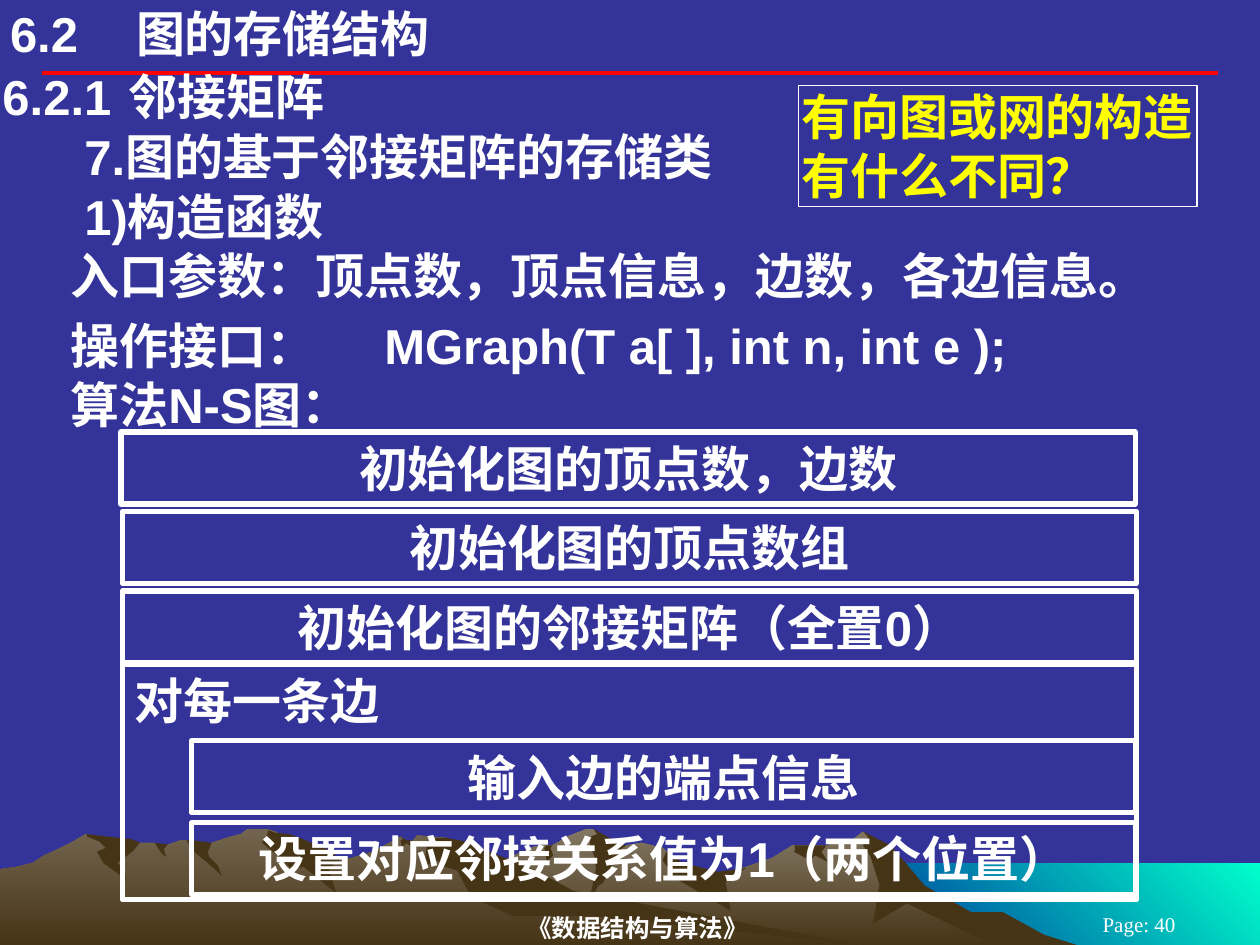
from lxml import etree
from pptx import Presentation
from pptx import util as u
from pptx.dml.color import RGBColor
from pptx.enum import shapes, text
from pptx.oxml.ns import qn

COLORS = {
    "sky": "333399", "white": "FFFFFF", "yellow": "FFFF00", "rule": "FF0000",
    "sea_light": "00FFCC", "sea_dark": "003399", "rock": "463416",
    "front_ridge": "837763", "back_ridge": "72644E",
}
COLUMNS, ROWS = 1000, 750
UNIT = u.Inches(10) // COLUMNS

SEA = "1000,94 683,94 683,27 1000,27"
RIGHT_RIDGE = (
    "802,82 778,69 764,65 723,40 702,13 685,2 676,9 656,13 629,13 613,23 566,39 "
    "536,32 529,18 526,15 509,11 497,13 486,15 474,3 471,0 465,0 450,6 444,10 "
    "438,13 430,13 424,14 418,17 412,19 405,23 399,25 394,27 355,40 327,51 "
    "277,81 258,93 821,93")
RIGHT_SHADOWS = [
    "796,66 771,66 734,45 707,13 685,2 689,6 685,13 691,22 698,44 693,75 720,59 "
    "792,94 858,93 829,84",
    "471,0 474,4 469,6 468,13 472,22 473,32 465,69 474,46 479,42 487,25 490,24 "
    "490,18 497,13 493,12",
    "529,18 528,20 526,25 536,39 580,65 576,42 592,31 570,34 542,27",
    "650,13 630,13 631,14 631,17 630,18 643,25 647,21 657,26 652,18 656,13",
    "433,19 432,15 434,13 438,13 439,12 437,15 439,21 434,26",
]
LEFT_RIDGE = (
    "690,93 667,90 432,54 354,7 331,5 327,10 323,10 318,6 296,18 279,23 271,24 "
    "260,18 236,23 223,5 219,2 212,0 196,0 191,4 183,6 168,11 160,13 148,9 143,9 "
    "132,13 128,13 123,11 111,11 94,13 68,4 56,11 46,16 35,21 26,27 14,30 0,32 0,93")
LEFT_SHADOWS = [
    "212,5 208,11 219,20 232,32 241,30 267,51 261,31 271,24 266,21 260,16 252,13 "
    "238,7 230,4 219,3 213,1",
    "370,10 354,7 344,7 339,11 337,29 348,25 353,30 363,33 374,54 407,69 472,69 "
    "690,93 683,92 455,49 427,34 411,26 401,23 386,17",
    "318,9 320,8 318,6 323,9 327,9 330,15 330,16 322,11 322,12 319,14",
    "154,9 168,11 165,18 166,22 173,29 176,37 165,27 154,18 148,9",
    "133,12 130,16 132,22 129,20 126,16 123,11",
    "109,10 111,11 105,18 93,27 98,31 100,40 82,27 77,18 84,15 79,10 69,6 69,4 "
    "77,5 94,7 104,8",
]


def rgb(name):
    return RGBColor.from_string(COLORS[name])


def place(box, left, top, width, height):
    return [n * UNIT for n in (box[0] + left, box[1] + top, width, height)]


def write(holder, words, size=28, color="white", bold=True, font="Arial",
          align=text.PP_ALIGN.LEFT, anchor=text.MSO_ANCHOR.TOP,
          insets=(2, 1, 2, 1), indent=0, tab=None, grow=True):
    frame = holder.text_frame
    frame.word_wrap = True
    frame.auto_size = (text.MSO_AUTO_SIZE.SHAPE_TO_FIT_TEXT if grow
                       else text.MSO_AUTO_SIZE.NONE)
    frame.vertical_anchor = anchor
    (frame.margin_left, frame.margin_top,
     frame.margin_right, frame.margin_bottom) = [n * UNIT for n in insets]
    paragraph = frame.paragraphs[0]
    paragraph.alignment = align
    properties = paragraph._p.get_or_add_pPr()
    properties.set("marL", str(indent * UNIT))
    properties.set("indent", "0")
    if tab:
        stops = etree.SubElement(properties, qn("a:tabLst"))
        etree.SubElement(stops, qn("a:tab"), pos=str(tab * UNIT), algn="l")
    run = paragraph.add_run()
    run.text = words
    run.font.size = u.Pt(size)
    run.font.bold = bold
    run.font.name = font
    run.font.color.rgb = rgb(color)


def add_label(slide, box, spot, words, **fmt):
    write(slide.shapes.add_textbox(*place(box, *spot)), words, **fmt)


def add_frame(slide, box, spot, words, weight=3, **fmt):
    frame = slide.shapes.add_shape(shapes.MSO_SHAPE.RECTANGLE, *place(box, *spot))
    frame.shadow.inherit = False
    frame.fill.background()
    frame.line.color.rgb = rgb("white")
    frame.line.width = u.Pt(weight)
    write(frame, words, **fmt)


def add_outline(slide, box, points, colors, angle=270):
    corners = [tuple(int(n) for n in pair.split(",")) for pair in points.split()]
    corners = [(box[0] + x, box[1] + y) for x, y in corners]
    builder = slide.shapes.build_freeform(*corners[0], scale=UNIT)
    builder.add_line_segments(corners[1:], close=True)
    outline = builder.convert_to_shape()
    outline.shadow.inherit = False
    outline.line.fill.background()
    if len(colors) == 1:
        outline.fill.solid()
        outline.fill.fore_color.rgb = rgb(colors[0])
        return
    outline.fill.gradient()
    outline.fill.gradient_angle = angle
    for stop, color in zip(outline.fill.gradient_stops, colors):
        stop.color.rgb = rgb(color)


def add_landscape(slide, box):
    add_outline(slide, box, SEA, ["sea_light", "sea_dark"], angle=225)
    for ridge, color, shadows in ((RIGHT_RIDGE, "front_ridge", RIGHT_SHADOWS),
                                  (LEFT_RIDGE, "back_ridge", LEFT_SHADOWS)):
        add_outline(slide, box, ridge, [color, "rock"])
        for shadow in shadows:
            add_outline(slide, box, shadow, ["rock"])


def add_footer(slide, box):
    fmt = dict(font="Times New Roman", align=text.PP_ALIGN.CENTER,
               anchor=text.MSO_ANCHOR.MIDDLE, grow=False)
    add_label(slide, box, (208, 0, 606, 28), "《数据结构与算法》",
              size=14, insets=(0, 1, 10, 1), **fmt)
    add_label(slide, box, (825, 3, 158, 17), "Page: 40",
              size=12, bold=False, insets=(10, 5, 10, 5), **fmt)


def add_header(slide, box):
    left, top, width, _ = box
    rule = slide.shapes.add_connector(
        shapes.MSO_CONNECTOR.STRAIGHT, (left + 33) * UNIT, (top + 58) * UNIT,
        (left + width - 33) * UNIT, (top + 58) * UNIT)
    rule.line.color.rgb = rgb("rule")
    rule.line.width = u.Pt(2.25)
    etree.SubElement(rule._element.spPr, qn("a:effectLst"))
    add_label(slide, box, (8, 3, 650, 47), "6.2	图的存储结构",
              insets=(0, 0, 0, 0), tab=85)


def add_outline_text(slide, box):
    lines = [
        (0, "6.2.1	邻接矩阵", dict(tab=127)),
        (47, "7.图的基于邻接矩阵的存储类", dict(indent=65)),
        (95, "1)构造函数", dict(indent=65)),
        (142, "入口参数：顶点数，顶点信息，边数，各边信息。", dict(indent=54)),
        (197, "操作接口：", dict(indent=54)),
        (244, "算法N-S图：", dict(indent=54)),
    ]
    for top, words, fmt in lines:
        add_label(slide, box, (0, top, box[2], 49), words, **fmt)
    add_label(slide, box, (303, 197, 528, 49), "MGraph(T a[ ], int n, int e );")


def add_question(slide, box):
    add_frame(slide, box, (0, 0, *box[2:]), "有向图或网的构造有什么不同？",
              weight=0.75, color="yellow")


def add_ns_diagram(slide, box):
    width, step, pitch, nest = box[2], 57, 63, 55
    fmt = dict(insets=(10, 5, 10, 5))
    centred = dict(fmt, align=text.PP_ALIGN.CENTER)
    setup = ["初始化图的顶点数，边数", "初始化图的顶点数组", "初始化图的邻接矩阵（全置0）"]
    for row, words in enumerate(setup):
        add_frame(slide, box, (min(row, 1), row * pitch, width, step), words, **centred)
    add_frame(slide, box, (1, 184, width, 187), "对每一条边", grow=False, **fmt)
    body = ["输入边的端点信息", "设置对应邻接关系值为1（两个位置）"]
    for row, words in enumerate(body):
        add_frame(slide, box, (nest + 1, 245 + row * 65, width - nest - 1, step),
                  words, **centred)


def main():
    deck = Presentation()
    deck.slide_width, deck.slide_height = COLUMNS * UNIT, ROWS * UNIT
    slide = deck.slides.add_slide(deck.slide_layouts[6])
    slide.background.fill.solid()
    slide.background.fill.fore_color.rgb = rgb("sky")
    add_landscape(slide, (0, 658, COLUMNS, 94))
    add_footer(slide, (0, 722, COLUMNS, 28))
    add_header(slide, (0, 0, COLUMNS, 58))
    add_outline_text(slide, (0, 52, COLUMNS, 293))
    add_ns_diagram(slide, (96, 343, 805, 371))
    add_question(slide, (634, 68, 316, 96))
    deck.save("out.pptx")


if __name__ == "__main__":
    main()
